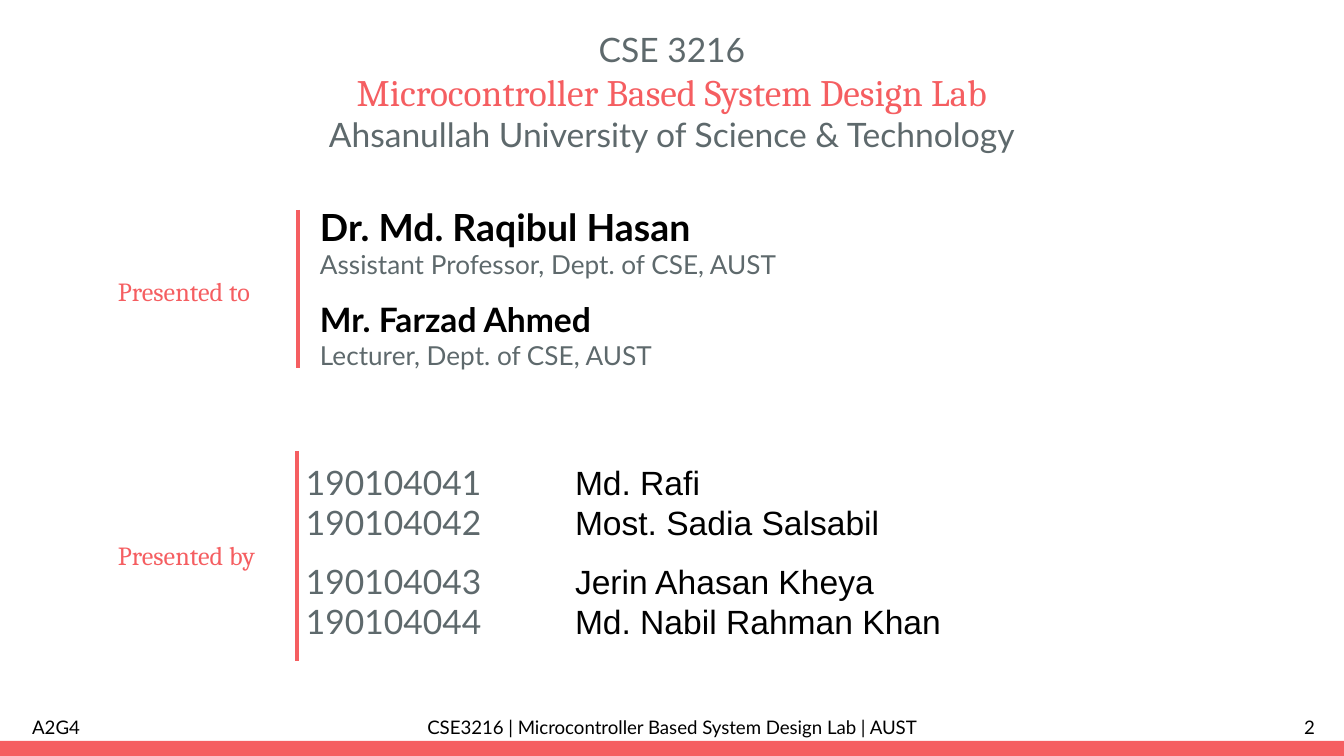
from lxml.etree import SubElement
from pptx import Presentation
from pptx.dml.color import RGBColor
from pptx.enum.shapes import MSO_CONNECTOR, MSO_SHAPE
from pptx.enum.text import MSO_ANCHOR as ANCHOR, MSO_AUTO_SIZE, PP_ALIGN as ALIGN
from pptx.oxml.ns import qn
from pptx.util import Pt

PX = 914400 / 134.4
CORAL, GRAY, BLACK = "F55E61", "5E696C", "000000"
TAB_STOP = 269


def px(*lengths):
    return [round(length * PX) for length in lengths]


def write(shape, lines, align=ALIGN.LEFT, anchor=ANCHOR.TOP, inset=13):
    """Fill a shape from lines of (space before, runs); a run is (text, size, font, color, bold)."""
    frame = shape.text_frame
    frame.word_wrap = True
    frame.auto_size = MSO_AUTO_SIZE.NONE
    frame.vertical_anchor = anchor
    frame.margin_left, frame.margin_top, frame.margin_right, frame.margin_bottom = px(*[inset] * 4)
    for i, (space, runs) in enumerate(lines):
        paragraph = frame.add_paragraph() if i else frame.paragraphs[0]
        paragraph.alignment = align
        paragraph.space_before = Pt(space)
        if any("\t" in run[0] for run in runs):
            tabs = SubElement(paragraph._p.get_or_add_pPr(), qn("a:tabLst"))
            SubElement(tabs, qn("a:tab"), pos=str(px(TAB_STOP)[0]), algn="l")
        for text, size, font, color, bold in runs:
            run = paragraph.add_run()
            run.text = text
            run.font.size, run.font.name, run.font.bold = Pt(size), font, bold
            run.font.color.rgb = RGBColor.from_string(color)


prs = Presentation()
prs.slide_width, prs.slide_height = px(1344, 756)
slide = prs.slides.add_slide(prs.slide_layouts[5])
shapes = slide.shapes

# Footer
band = shapes.add_shape(MSO_SHAPE.RECTANGLE, *px(0, 741, 1344, 15))
band.shadow.inherit = False
band.fill.solid()
band.fill.fore_color.rgb = RGBColor.from_string(CORAL)
band.line.fill.background()

for text, left, width, align, inset in [
    ("A2G4", 11, 90, ALIGN.CENTER, 13),
    ("CSE3216 | Microcontroller Based System Design Lab | AUST", 340, 664, ALIGN.CENTER, 13),
    ("2", 1243, 90, ALIGN.RIGHT, 18),
]:
    footer = shapes.add_textbox(*px(left, 710, width, 35))
    write(footer, [(0, [(text, 10, "Lato", BLACK, False)])], align, ANCHOR.MIDDLE, inset)

# Course heading
course = shapes.title
course.left, course.top, course.width, course.height = px(217, 16, 910, 145)
write(course, [
    (0, [("CSE 3216", 18, "Lato", GRAY, False)]),
    (0, [("Microcontroller Based System Design Lab", 20, "Cambria", CORAL, False)]),
    (0, [("Ahsanullah University of Science & Technology", 18, "Lato", GRAY, False)]),
], ALIGN.CENTER)

# Section labels and their vertical rules
for label, label_top, x, top, bottom in [
    ("Presented to", 262, 298, 210, 368),
    ("Presented by", 526, 297, 451, 661),
]:
    section = shapes.add_textbox(*px(105, label_top, 188, 59))
    write(section, [(0, [(label, 14, "Cambria", CORAL, False)])])
    rule = shapes.add_connector(MSO_CONNECTOR.STRAIGHT, *px(x, top, x, bottom))
    rule.line.color.rgb = RGBColor.from_string(CORAL)
    rule.line.width = Pt(2.25)
    SubElement(rule._element.spPr, qn("a:effectLst"))

# Teachers
teacher_lines = []
for space, name, size, post in [
    (0, "Dr. Md. Raqibul Hasan", 20, "Assistant Professor, Dept. of CSE, AUST"),
    (10, "Mr. Farzad Ahmed", 18, "Lecturer, Dept. of CSE, AUST"),
]:
    teacher_lines.append((space, [(name, size, "Lato", BLACK, True)]))
    teacher_lines.append((0, [(post, 14, "Lato", GRAY, False)]))
teachers = shapes.add_textbox(*px(307, 191, 490, 181))
write(teachers, teacher_lines)

# Students
student_lines = [
    (space, [(f"{number}\t", 18, "Lato", GRAY, False), (name, 18, "Arial", BLACK, False)])
    for space, number, name in [
        (0, "190104041", "Md. Rafi"),
        (0, "190104042", "Most. Sadia Salsabil"),
        (10, "190104043", "Jerin Ahasan Kheya"),
        (0, "190104044", "Md. Nabil Rahman Khan"),
    ]
]
students = shapes.add_textbox(*px(293, 403, 982, 297))
write(students, student_lines, anchor=ANCHOR.MIDDLE)

prs.save("out.pptx")
